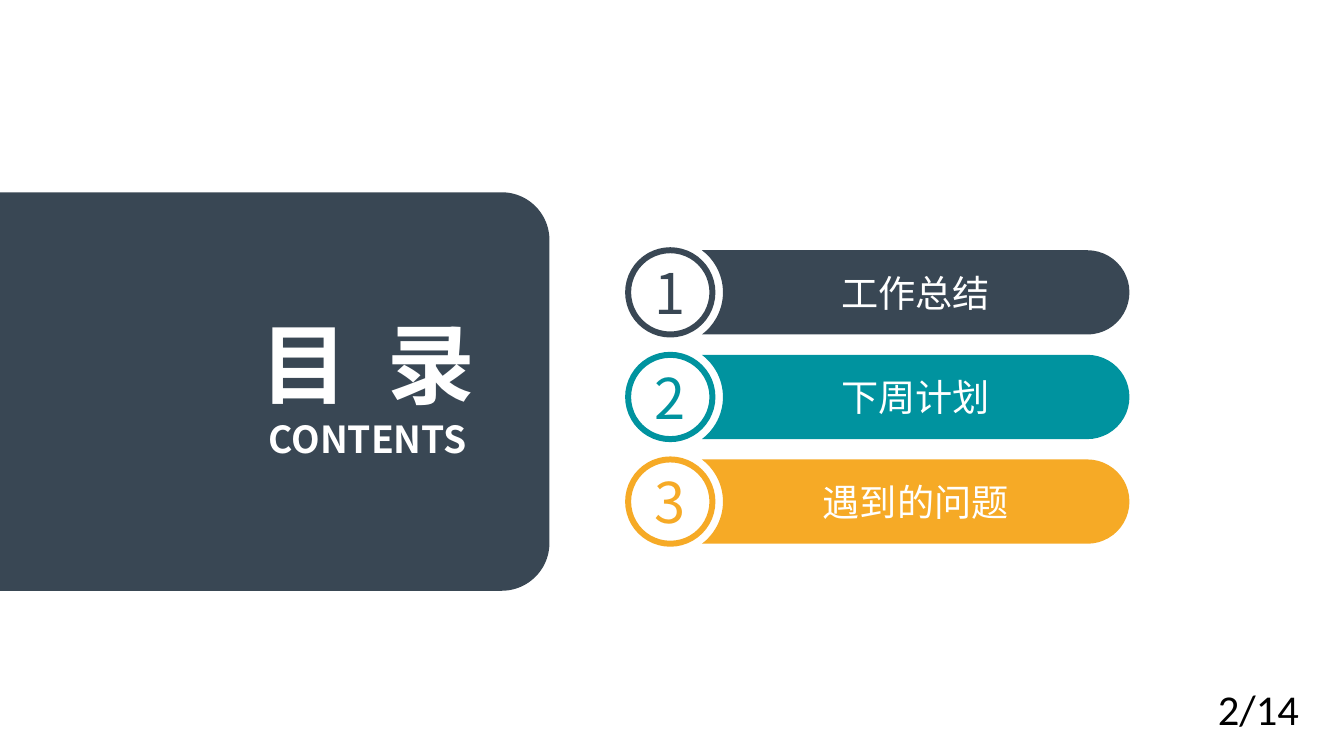
import math

from lxml import etree
from pptx import Presentation
from pptx import util as u
from pptx.dml.color import RGBColor
from pptx.enum import shapes, text
from pptx.oxml import ns

COLOURS = {"navy": "394754", "teal": "00939F", "amber": "F6AA26",
           "white": "FFFFFF", "black": "000000"}
CJK = "Noto Sans CJK SC"
AGENDA = [("工作总结", "navy"), ("下周计划", "teal"), ("遇到的问题", "amber")]

# Agenda layout in centimetres
FIRST_TOP, PITCH = 6.65, 2.78
RADIUS = 1.12          # numbered circle and rounded bar end
CIRCLE_X = 17.81       # centre of the numbered circles
BITE_RADIUS = 1.4      # hollow at the left end of each bar
BAR_END_X = 28.89      # centre of the rounded bar end


def colour(name):
    return RGBColor.from_string(COLOURS[name])


def paint(shape, fill, line=None):
    shape.shadow.inherit = False
    shape.fill.solid()
    shape.fill.fore_color.rgb = colour(fill)
    if line:
        shape.line.color.rgb = colour(line)
        shape.line.width = u.Pt(4.5)
    else:
        shape.line.fill.background()


def add_outline(slide, points, arcs, fill):
    """Outline through points; arcs maps a segment to (radius, start, sweep)."""
    corners = [(u.Cm(x), u.Cm(y)) for x, y in points]
    builder = slide.shapes.build_freeform(*corners[0])
    builder.add_line_segments(corners[1:], close=True)
    shape = builder.convert_to_shape()
    # Round the chosen segments
    segments = list(shape._element.iter(ns.qn("a:lnTo")))
    for index, (radius, start, sweep) in arcs.items():
        size = str(u.Cm(radius))
        curve = etree.Element(ns.qn("a:arcTo"), wR=size, hR=size,
                              stAng=str(round(start * 60000)),
                              swAng=str(round(sweep * 60000)))
        segments[index].getparent().replace(segments[index], curve)
    paint(shape, fill)
    return shape


def write(shape, words, size, tint, font=CJK, bold=False, inset=(0, 0),
          anchor=text.MSO_ANCHOR.MIDDLE, align=text.PP_ALIGN.CENTER, spacing=0):
    frame = shape.text_frame
    across, down = map(u.Cm, inset)
    frame_format = {"word_wrap": True, "vertical_anchor": anchor,
                    "margin_left": across, "margin_right": across,
                    "margin_top": down, "margin_bottom": down}
    for name, value in frame_format.items():
        setattr(frame, name, value)
    para = frame.paragraphs[0]
    para.alignment = align
    span = para.add_run()
    span.text = words
    for name, value in {"name": font, "size": u.Pt(size), "bold": bold}.items():
        setattr(span.font, name, value)
    span.font.color.rgb = colour(tint)
    # East Asian typeface and letter spacing
    properties = span._r.get_or_add_rPr()
    etree.SubElement(properties, ns.qn("a:ea"), typeface=font)
    if spacing:
        properties.set("spc", str(round(spacing * 100)))


def add_label(slide, left, top, width, height, words, size, tint, **style):
    box = slide.shapes.add_textbox(*map(u.Cm, (left, top, width, height)))
    write(box, words, size, tint, **style)


def add_panel(slide):
    top, right, bottom, corner = 5.11, 14.6, 15.7, 1.27
    points = [(0, top), (right - corner, top), (right, top + corner),
              (right, bottom - corner), (right - corner, bottom), (0, bottom)]
    add_outline(slide, points, {1: (corner, 270, 90), 3: (corner, 0, 90)}, "navy")


def add_agenda_item(slide, index, words, tint):
    top = FIRST_TOP + index * PITCH
    middle, bottom = top + RADIUS, top + 2 * RADIUS
    # Bar with a rounded right end and a hollow left end
    reach = math.degrees(math.asin(RADIUS / BITE_RADIUS))
    left = CIRCLE_X + math.sqrt(BITE_RADIUS ** 2 - RADIUS ** 2)
    points = [(left, top), (BAR_END_X, top), (BAR_END_X + RADIUS, middle),
              (BAR_END_X, bottom), (left, bottom), (left, top)]
    arcs = {1: (RADIUS, 270, 90), 2: (RADIUS, 0, 90),
            4: (BITE_RADIUS, reach, -2 * reach)}
    write(add_outline(slide, points, arcs, tint), words, 28, "white")
    # Numbered circle
    circle = slide.shapes.add_shape(
        shapes.MSO_SHAPE.OVAL, u.Cm(CIRCLE_X - RADIUS), u.Cm(top),
        u.Cm(2 * RADIUS), u.Cm(2 * RADIUS))
    paint(circle, "white", tint)
    write(circle, str(index + 1), 42.2, tint)


def main():
    deck = Presentation()
    deck.slide_width, deck.slide_height = u.Cm(35.71), u.Cm(20.09)
    slide = deck.slides.add_slide(deck.slide_layouts[6])

    # Title panel
    add_panel(slide)
    # Agenda
    for index, (words, tint) in enumerate(AGENDA):
        add_agenda_item(slide, index, words, tint)
    # Titles
    add_label(slide, 5.79, 8.23, 7.98, 2.82, "目 录", 66, "white",
              bold=True, spacing=7.4)
    add_label(slide, 5.82, 11.07, 7.9, 1.19, "CONTENTS", 28, "white",
              bold=True, anchor=text.MSO_ANCHOR.TOP)
    # Page number
    add_label(slide, 32.11, 18.03, 3.61, 1.55, "2/14", 32, "black",
              font="Calibri", inset=(0.25, 0.13), anchor=text.MSO_ANCHOR.TOP,
              align=text.PP_ALIGN.LEFT)

    deck.save("out.pptx")


if __name__ == "__main__":
    main()
